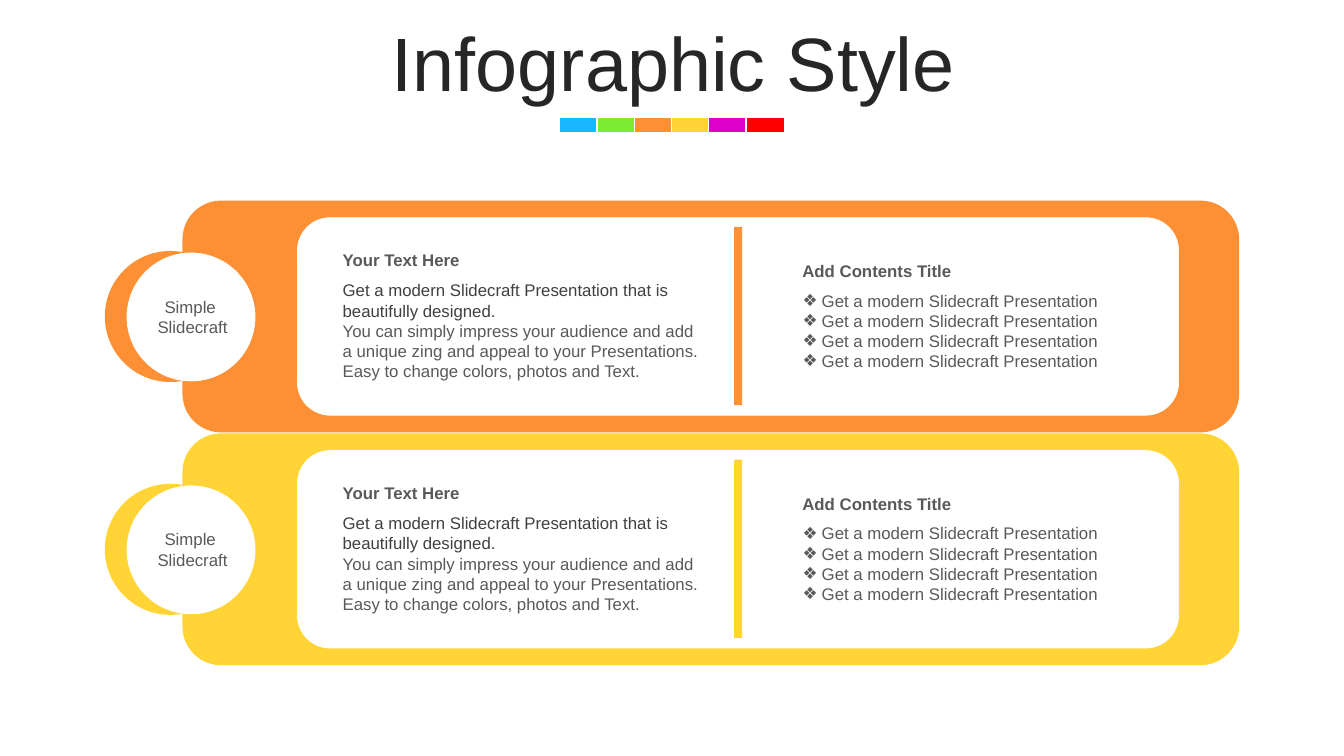
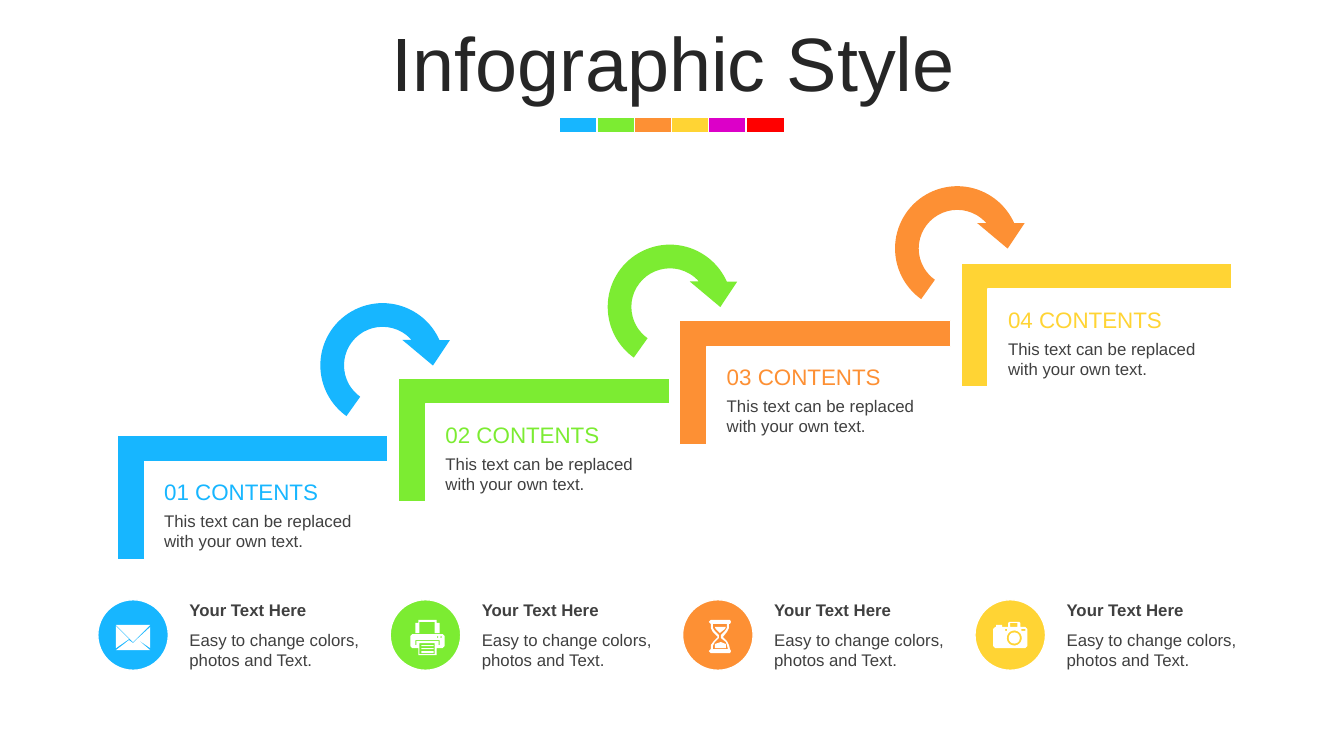
import math
import pptx
import pptx.util
import pptx.dml.color
import pptx.enum.shapes
import pptx.enum.text
import pptx.oxml

Inches = pptx.util.Inches
Pt = pptx.util.Pt
SHAPE = pptx.enum.shapes.MSO_SHAPE
ALIGN = pptx.enum.text.PP_ALIGN
ANCHOR = pptx.enum.text.MSO_ANCHOR

COLORS = {
    "blue": "17B6FF", "green": "7CEC32", "orange": "FD9034",
    "yellow": "FFD434", "magenta": "DC00C8", "red": "FF0000",
    "white": "FFFFFF", "title": "262626", "dark": "404040", "gray": "595959",
}
FONT = "Arial"
TITLE = "Infographic Style"
STRIPE = ["blue", "green", "orange", "yellow", "magenta", "red"]

CARDS = ["orange", "yellow"]
CARD_LABEL = ["Simple ", "Slidecraft"]
CARD_HEADING = "Your Text Here"
CARD_TEXT = [
    ("Get a modern Slidecraft Presentation that is beautifully designed.", "dark"),
    ("You can simply impress your audience and add a unique zing and appeal "
     "to your Presentations. Easy to change colors, photos and Text.", "gray"),
]
LIST_HEADING = "Add Contents Title"
LIST_ITEMS = ["Get a modern Slidecraft Presentation"] * 4

STEPS = [("01 CONTENTS", "blue"), ("02 CONTENTS", "green"),
         ("03 CONTENTS", "orange"), ("04 CONTENTS", "yellow")]
STEP_TEXT = "This text can be replaced with your own text."
BADGE_HEADING = "Your Text Here"
BADGE_TEXT = "Easy to change colors, photos and Text."
ARROW_ADJUSTMENTS = [0.16, 18.21, 197.9, 75.28, 0.16]


def rect(left, top, right, bottom):
    return [(left, top), (right, top), (right, bottom), (left, bottom)]


def circle(x, y, radius, count=24):
    angles = [2 * math.pi * i / count for i in range(count)]
    return [(x + radius * math.cos(a), y + radius * math.sin(a)) for a in angles]


ENVELOPE = [
    [(21, 14), (34, 25), (0, 25), (13, 15), (17, 18)],
    [(34, 2), (34, 23), (21, 14)],
    [(0, 1), (13, 14), (0, 23)],
    [(0, 0), (34, 0), (17, 17)],
]
PRINTER = [
    rect(11, 31, 23, 33), rect(11, 28, 23, 29), rect(11, 25, 23, 26),
    rect(9, 23, 24, 34),
    [(5, 20), (5, 25), (6, 25), (6, 21), (28, 21), (28, 25), (29, 25), (29, 20)],
    circle(30.5, 17, 0.8), circle(27, 17, 0.8),
    [(2, 14), (32, 14), (34, 16), (34, 26), (32, 28), (26, 28), (26, 35),
     (8, 35), (8, 28), (2, 28), (0, 26), (0, 16)],
    [(8, 0), (26, 0), (26, 3), (29, 3), (29, 13), (24, 13), (24, 2), (9, 2),
     (9, 13), (5, 13), (5, 3), (8, 3)],
]
HOURGLASS = [
    [(2, 0), (21, 0), (22, 2), (21, 4), (20, 4), (20, 8), (18, 12), (14, 17),
     (18, 21), (20, 25), (21, 29), (22, 31), (21, 33), (2, 33), (0, 31),
     (2, 29), (2, 25), (5, 21), (9, 17), (4, 12), (2, 8), (2, 4), (0, 2)],
    [(4, 4), (4, 8), (6, 11), (10, 15), (10, 18), (6, 22), (4, 26), (4, 29),
     (19, 29), (18, 25), (17, 22), (12, 18), (12, 15), (16, 11), (18, 8), (18, 4)],
    [(6, 7), (17, 7), (16, 9), (11, 13), (7, 9)],
    [(12, 22), (17, 24), (17, 28), (6, 28), (6, 24)],
]
CAMERA = [
    circle(21, 16, 5.5), circle(21, 16, 7.5),
    rect(12, 7, 14, 9), rect(28, 7, 32, 9), rect(17, 1, 24, 5),
    [(16, 0), (26, 0), (27, 1), (27, 5), (32, 5), (34, 7), (34, 24), (32, 26),
     (2, 26), (0, 24), (0, 7), (2, 5), (3, 5), (3, 3), (9, 3), (9, 5), (15, 5),
     (15, 1)],
]
BADGE_ICONS = [(ENVELOPE, 0.18, 0.25), (PRINTER, 0.2, 0.2),
               (HOURGLASS, 0.26, 0.2), (CAMERA, 0.18, 0.22)]


def rgb(color):
    return pptx.dml.color.RGBColor.from_string(COLORS[color])


def paint(shape, fill, line_width=0):
    shape.shadow.inherit = False
    shape.fill.solid()
    shape.fill.fore_color.rgb = rgb(fill)
    if line_width:
        shape.line.color.rgb = rgb("white")
        shape.line.width = Pt(line_width)
    else:
        shape.line.fill.background()


def add_shape(page, kind, left, top, width, height, fill, line_width=0):
    shape = page.shapes.add_shape(
        kind, Inches(left), Inches(top), Inches(width), Inches(height))
    paint(shape, fill, line_width)
    return shape


def place(box, left, top, width, height):
    box.left, box.top = Inches(left), Inches(top)
    box.width, box.height = Inches(width), Inches(height)


def add_bullet(para):
    props = para._p.get_or_add_pPr()
    props.set("marL", str(Inches(0.19)))
    props.set("indent", str(-Inches(0.19)))
    props.append(pptx.oxml.parse_xml(
        '<a:buChar xmlns:a="http://schemas.openxmlformats.org/drawingml/2006/main" '
        'char="❖"/>'))


def write(box, lines, size=12, bold=False, align=ALIGN.LEFT, bullets=False):
    frame = box.text_frame
    frame.word_wrap = True
    frame.auto_size = pptx.enum.text.MSO_AUTO_SIZE.NONE
    for i, (text, color) in enumerate(lines):
        para = frame.add_paragraph() if i else frame.paragraphs[0]
        if bullets:
            add_bullet(para)
        para.alignment = align
        para.space_before = Pt(0)
        span = para.add_run()
        span.text = text
        span.font.name = FONT
        span.font.size = Pt(size)
        span.font.bold = bold
        span.font.color.rgb = rgb(color)


def add_text(page, left, top, width, height, lines, **style):
    box = page.shapes.add_textbox(
        Inches(left), Inches(top), Inches(width), Inches(height))
    write(box, lines, **style)
    return box


def add_icon(page, contours, left, top):
    scaled = [[(x * 10, y * 10) for x, y in points] for points in contours]
    builder = page.shapes.build_freeform(*scaled[0][0], scale=Inches(0.001))
    for i, points in enumerate(scaled):
        if i:
            builder.move_to(*points[0])
        builder.add_line_segments(points[1:], close=True)
    icon = builder.convert_to_shape(Inches(left), Inches(top))
    paint(icon, "white")


def add_page(deck, layout_name):
    page = deck.slides.add_slide(deck.slide_layouts.get_by_name(layout_name))
    title = page.shapes.title
    place(title, 0.35, 0.24, 12.66, 0.79)
    write(title, [(TITLE, "title")], size=54, align=ALIGN.CENTER)
    title.text_frame.margin_top = Inches(0.1)
    title.text_frame.vertical_anchor = ANCHOR.MIDDLE
    title.text_frame.paragraphs[0].line_spacing = 0.9
    for i, color in enumerate(STRIPE):
        add_shape(page, SHAPE.RECTANGLE, 5.55 + 0.37 * i, 1.16, 0.38, 0.16, color, 1)
    return page


def build_cards(deck):
    page = add_page(deck, "Two Content")
    lists = [box for box in page.placeholders if box.placeholder_format.idx]
    for i, (color, box) in enumerate(zip(CARDS, lists)):
        top = 1.99 + 2.31 * i
        add_shape(page, SHAPE.ROUNDED_RECTANGLE, 1.81, top, 10.48, 2.3, color)
        add_shape(page, SHAPE.ROUNDED_RECTANGLE, 2.95, top + 0.17, 8.74, 1.96, "white", 0.5)
        add_shape(page, SHAPE.OVAL, 1.04, top + 0.5, 1.3, 1.3, color)
        add_shape(page, SHAPE.OVAL, 1.26, top + 0.52, 1.27, 1.27, "white", 0.5)
        add_shape(page, SHAPE.RECTANGLE, 7.28, top + 0.26, 0.08, 1.77, color)
        add_text(page, 1.34, top + 0.9, 1.14, 0.5,
                 [(text, "gray") for text in CARD_LABEL], align=ALIGN.CENTER)
        add_text(page, 3.3, top + 0.44, 3.78, 0.3, [(CARD_HEADING, "gray")], bold=True)
        add_text(page, 3.3, top + 0.74, 3.78, 1.11, CARD_TEXT)
        add_text(page, 7.86, top + 0.55, 3.45, 0.3, [(LIST_HEADING, "gray")], bold=True)
        place(box, 7.86, top + 0.84, 3.45, 0.91)
        write(box, [(text, "gray") for text in LIST_ITEMS], bullets=True)
        box.element.getparent().append(box.element)


def build_steps(deck):
    page = add_page(deck, "Title Only")
    for i, (heading, color) in enumerate(STEPS):
        left, top = 1.89 + 2.79 * i, 3.59 - 0.57 * i
        corner = add_shape(page, SHAPE.CORNER, left, top, 1.23, 2.69, color, 1)
        corner.rotation = 90
        corner.adjustments[0], corner.adjustments[1] = 0.22, 0.21
        add_text(page, left - 0.36, top + 1.43, 2.14, 0.5, [(STEP_TEXT, "dark")])
        title = add_text(page, left - 0.36, top + 1.1, 2.13, 0.37,
                         [(heading, color)], size=16)
        title.text_frame.vertical_anchor = ANCHOR.BOTTOM

        if i < len(STEPS) - 1:
            arrow = add_shape(page, SHAPE.CIRCULAR_ARROW, 3.06 + 2.85 * i,
                              2.89 - 0.58 * i, 1.47, 1.47, color)
            for k, value in enumerate(ARROW_ADJUSTMENTS):
                arrow.adjustments[k] = value

        badge_left, badge_top = 0.97 + 2.9 * i, 5.95
        add_shape(page, SHAPE.OVAL, badge_left, badge_top, 0.7, 0.7, color, 1)
        icon, dx, dy = BADGE_ICONS[i]
        add_icon(page, icon, badge_left + dx, badge_top + dy)
        add_text(page, badge_left + 0.81, badge_top - 0.05, 1.95, 0.3,
                 [(BADGE_HEADING, "dark")], bold=True)
        add_text(page, badge_left + 0.81, badge_top + 0.25, 1.95, 0.5,
                 [(BADGE_TEXT, "dark")])


def main():
    deck = pptx.Presentation()
    deck.slide_width, deck.slide_height = Inches(13.33), Inches(7.5)
    build_cards(deck)
    build_steps(deck)
    deck.save("out.pptx")


if __name__ == "__main__":
    main()
